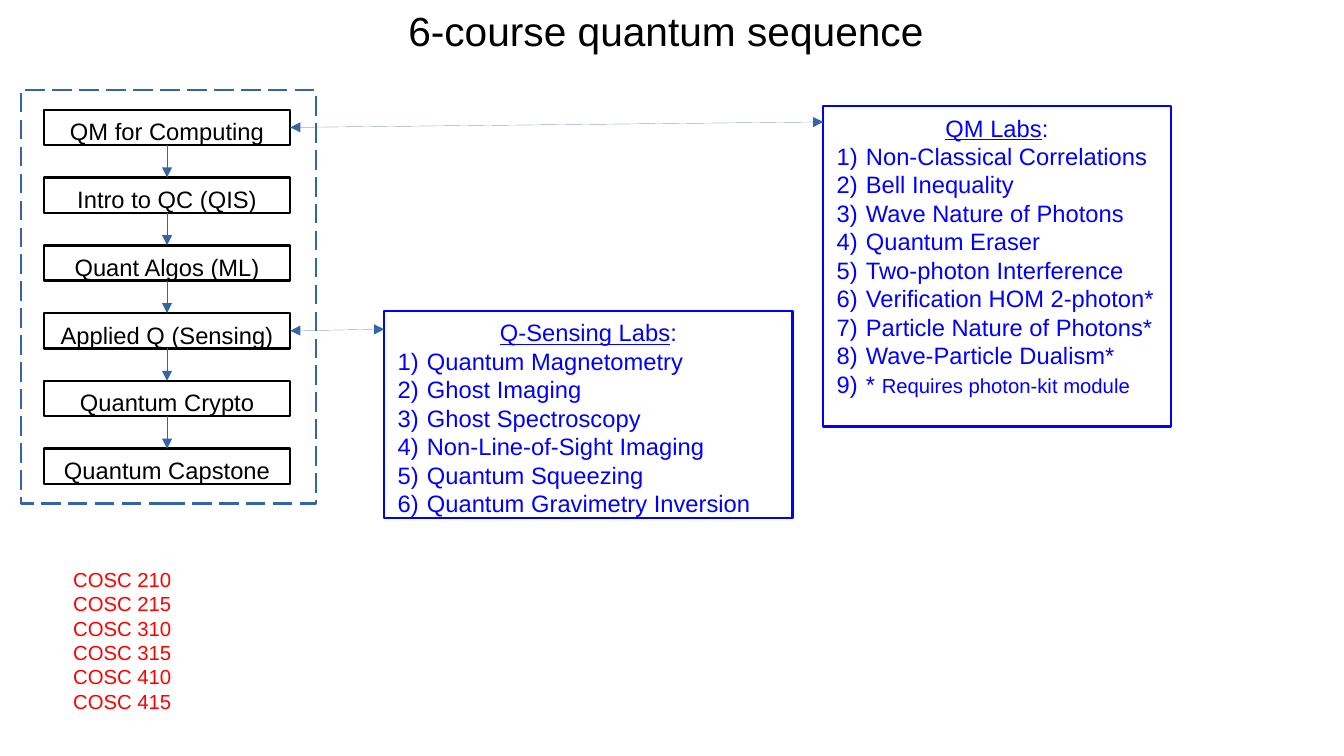
from lxml.etree import SubElement
from pptx import Presentation
from pptx.dml.color import RGBColor
from pptx.enum.dml import MSO_LINE
from pptx.enum.shapes import MSO_CONNECTOR, MSO_SHAPE
from pptx.enum.text import MSO_ANCHOR, MSO_AUTO_SIZE, PP_ALIGN
from pptx.oxml.ns import qn
from pptx.util import Inches, Pt

COLORS = {"black": "000000", "lab": "0000FF", "flow": "3465A4", "code": "FF0000"}
FONT = "Arial"
TOP, LEFT, BOTTOM, RIGHT = range(4)

COURSES = ["QM for Computing", "Intro to QC (QIS)", "Quant Algos (ML)",
           "Applied Q (Sensing)", "Quantum Crypto", "Quantum Capstone"]
CODES = ["COSC 210", "COSC 215", "COSC 310", "COSC 315", "COSC 410", "COSC 415"]
QM_LABS = ["Non-Classical Correlations", "Bell Inequality", "Wave Nature of Photons",
           "Quantum Eraser", "Two-photon Interference", "Verification HOM 2-photon*",
           "Particle Nature of Photons*", "Wave-Particle Dualism*"]
SENSING_LABS = ["Quantum Magnetometry", "Ghost Imaging", "Ghost Spectroscopy",
                "Non-Line-of-Sight Imaging", "Quantum Squeezing",
                "Quantum Gravimetry Inversion"]


def rgb(name):
    return RGBColor.from_string(COLORS[name])


def place(sp, left, top, width, height):
    sp.left, sp.top = Inches(left), Inches(top)
    sp.width, sp.height = Inches(width), Inches(height)


def set_margins(tf, side, edge):
    tf.margin_left = tf.margin_right = Inches(side)
    tf.margin_top = tf.margin_bottom = Inches(edge)


def style_paragraph(p, size, color, align=PP_ALIGN.LEFT):
    p.alignment = align
    p.space_before = Pt(0)
    p.font.name, p.font.size = FONT, Pt(size)
    p.font.color.rgb = rgb(color)


def set_bullet(p, indent=0, numbered=False):
    pPr = p._p.get_or_add_pPr()
    pPr.set("marL", str(Inches(indent)))
    pPr.set("indent", str(-Inches(indent)))
    # Bullets come before the default run properties
    bullet = pPr.makeelement(qn("a:buAutoNum" if numbered else "a:buNone"), {})
    if numbered:
        bullet.set("type", "arabicParenR")
    pPr.find(qn("a:defRPr")).addprevious(bullet)


def add_box(slide, left, top, width, height, color):
    sp = slide.shapes.add_shape(MSO_SHAPE.RECTANGLE, Inches(left), Inches(top),
                                Inches(width), Inches(height))
    sp.shadow.inherit = False
    sp.fill.background()
    sp.line.color.rgb = rgb(color)
    sp.line.width = Pt(1.45)
    tf = sp.text_frame
    tf.word_wrap = True
    tf.vertical_anchor = MSO_ANCHOR.TOP
    set_margins(tf, 0.11, 0.06)
    return sp


def add_course(slide, name, top):
    sp = add_box(slide, 0.36, top, 2.02, 0.29, "black")
    p = sp.text_frame.paragraphs[0]
    p.text = name
    style_paragraph(p, 14, "black", PP_ALIGN.CENTER)
    return sp


def add_labs(slide, heading, labs, left, top, width, height):
    tf = add_box(slide, left, top, width, height, "lab").text_frame
    p = tf.paragraphs[0]
    style_paragraph(p, 14, "lab", PP_ALIGN.CENTER)
    r = p.add_run()
    r.text = heading
    r.font.underline = True
    p.add_run().text = ":"
    for lab in labs:
        add_lab(tf, lab)
    return tf


def add_lab(tf, text):
    p = tf.add_paragraph()
    p.add_run().text = text
    style_paragraph(p, 14, "lab")
    set_bullet(p, 0.24, numbered=True)
    return p


def add_arrow(slide, start, side, end=None, point=(0, 0), both=False):
    """Arrow from a side of one box to the top of another, or to a point."""
    line = slide.shapes.add_connector(MSO_CONNECTOR.STRAIGHT, 0, 0,
                                      Inches(point[0]), Inches(point[1]))
    line.begin_connect(start, side)
    if end is not None:
        line.end_connect(end, TOP)
    line.line.color.rgb = rgb("flow")
    ln = line._element.spPr.find(qn("a:ln"))
    ln.set("w", "0")  # hairline
    for tag in ["a:headEnd", "a:tailEnd"] if both else ["a:tailEnd"]:
        SubElement(ln, qn(tag), type="triangle")
    SubElement(line._element.spPr, qn("a:effectLst"))


def fill_title(title):
    place(title, 0.5, 0, 9.92, 0.5)
    tf = title.text_frame
    tf.vertical_anchor = MSO_ANCHOR.MIDDLE
    tf.auto_size = MSO_AUTO_SIZE.NONE
    set_margins(tf, 0, 0)
    p = tf.paragraphs[0]
    p.text = "6-course quantum sequence"
    style_paragraph(p, 24, "black", PP_ALIGN.CENTER)


def fill_codes(body):
    place(body, 0.5, 4.6, 1.27, 1.51)
    tf = body.text_frame
    tf.auto_size = MSO_AUTO_SIZE.NONE
    tf.text = "\n".join(CODES)
    for p in tf.paragraphs:
        style_paragraph(p, 12, "code")
        set_bullet(p)


def main():
    prs = Presentation()
    prs.slide_width, prs.slide_height = Inches(11.02), Inches(6.2)
    slide = prs.slides.add_slide(prs.slide_layouts[1])

    # Title and course codes
    fill_title(slide.shapes.title)
    fill_codes(slide.placeholders[1])

    # Course sequence in its dashed frame
    frame = add_box(slide, 0.17, 0.74, 2.42, 3.39, "flow")
    frame.line.dash_style = MSO_LINE.LONG_DASH
    pitch = (3.68 - 0.9) / (len(COURSES) - 1)
    courses = [add_course(slide, name, 0.9 + i * pitch)
               for i, name in enumerate(COURSES)]
    for upper, lower in zip(courses, courses[1:]):
        add_arrow(slide, upper, BOTTOM, lower)

    # Lab lists
    tf = add_labs(slide, "QM Labs", QM_LABS, 6.75, 0.87, 2.85, 2.63)
    r = add_lab(tf, "* ").add_run()
    r.text = "Requires photon-kit module"
    r.font.size = Pt(12)
    add_labs(slide, "Q-Sensing Labs", SENSING_LABS, 3.15, 2.55, 3.35, 1.7)

    # Links from courses to labs
    add_arrow(slide, courses[0], RIGHT, point=(6.75, 1), both=True)
    add_arrow(slide, courses[3], RIGHT, point=(3.15, 2.7), both=True)

    prs.save("out.pptx")


if __name__ == "__main__":
    main()
